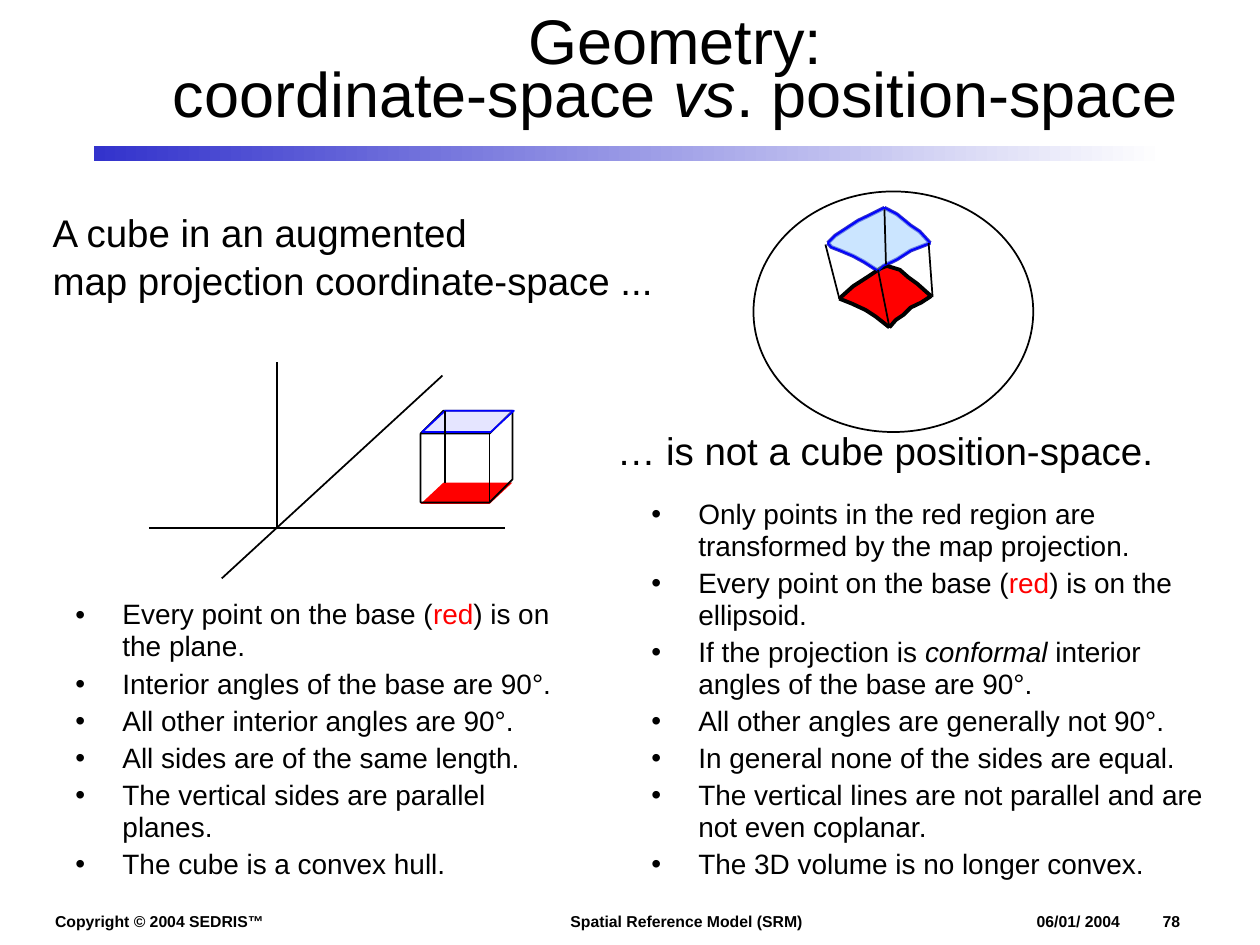
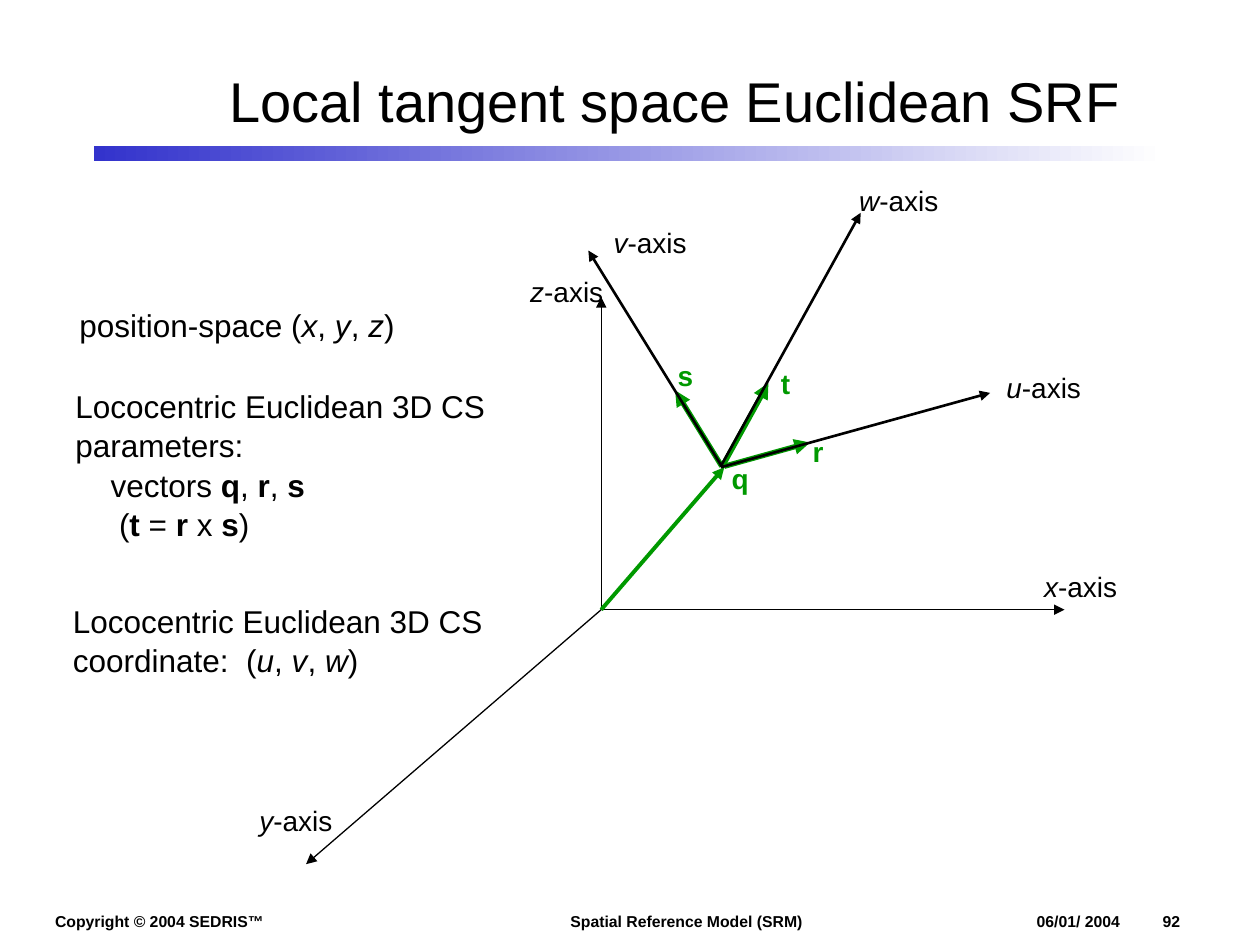
from copy import deepcopy

from lxml import etree
from pptx import Presentation
from pptx import util as u
from pptx.dml.color import RGBColor
from pptx.enum import shapes, text
from pptx.oxml.ns import qn

FONT = "Arial"
COLOURS = {
    "ink": "000000", "red": "FF0000", "green": "009900", "band": "3333CC",
    "paper": "FFFFFF", "edge": "0000FF", "lilac": "CCCCFF", "sky": "99CCFF",
}
RGB = {name: RGBColor.from_string(value) for name, value in COLOURS.items()}


def write_text(frame, lines, size, colour="ink", bold=False, gap=0):
    """Fill a frame; |i:x|, |b:x| and |red:x| mark italic, bold and red words."""
    frame.text = "\n".join("" for _ in lines)
    for number, (paragraph, line) in enumerate(zip(frame.paragraphs, lines)):
        pieces = line.split("|")
        paragraph.text = pieces[0]
        if number and gap:
            paragraph.space_before = u.Pt(gap)
        marks = [""] * len(paragraph.runs)
        for index, piece in enumerate(pieces[1:], 1):
            mark, word = piece.split(":", 1) if index % 2 else ("", piece)
            if word:
                paragraph.add_run().text = word
                marks.append(mark)
        for run, mark in zip(paragraph.runs, marks):
            run.font.name = FONT
            run.font.size = u.Pt(size)
            run.font.bold = bold or mark == "b"
            run.font.italic = mark == "i"
            run.font.color.rgb = RGB["red" if mark == "red" else colour]
        for line_break in paragraph._p.findall(qn("a:br")):
            line_break.append(deepcopy(paragraph.runs[0]._r.rPr))


def add_line(slide, start, end, width, colour="ink", arrow=False):
    ends = [u.Cm(value) for value in (*start, *end)]
    line = slide.shapes.add_connector(shapes.MSO_CONNECTOR.STRAIGHT, *ends)
    line.line.width = u.Pt(width)
    line.line.color.rgb = RGB[colour]
    if arrow:
        etree.SubElement(line.line._get_or_add_ln(), qn("a:tailEnd"), type="triangle")
    etree.SubElement(line._element.spPr, qn("a:effectLst"))


deck = Presentation()
deck.slide_width, deck.slide_height = u.Cm(25.4), u.Cm(19.05)

headings = [
    ("Geometry:\vcoordinate-space |i:vs|. position-space", 36, 0.13, 0.7, "78"),
    ("Local tangent space Euclidean SRF", 32, 0.64, 1.0, "92"),
]
for heading, size, top, spacing, page in headings:
    slide = deck.slides.add_slide(deck.slide_layouts[5])
    title = slide.shapes.title
    title.left, title.top, title.width, title.height = map(u.Cm, (3.07, top, 21.08, 2.77))
    title.text_frame.auto_size = text.MSO_AUTO_SIZE.NONE
    title.text_frame.vertical_anchor = text.MSO_ANCHOR.MIDDLE
    write_text(title.text_frame, [heading], size)
    title.text_frame.paragraphs[0].alignment = text.PP_ALIGN.CENTER
    title.text_frame.paragraphs[0].line_spacing = spacing

    band = slide.shapes.add_shape(
        shapes.MSO_SHAPE.RECTANGLE, u.Cm(1.9), u.Cm(2.95), u.Cm(21.59), u.Cm(0.3))
    band.shadow.inherit = False
    band.line.fill.background()
    band.fill.gradient()
    band.fill.gradient_angle = 0
    for stop, position, colour in zip(band.fill.gradient_stops, (0, 1), ("band", "paper")):
        stop.position = position
        stop.color.rgb = RGB[colour]

    for left, width, words in [
        (0.86, 4.72, "Copyright © 2004 SEDRIS™"),
        (11.25, 5.18, "Spatial Reference Model (SRM)"),
    ]:
        footer = slide.shapes.add_textbox(u.Cm(left), u.Cm(18.26), u.Cm(width), u.Cm(0.64))
        footer.text_frame.word_wrap = False
        write_text(footer.text_frame, [words], 9, bold=True)

    dated = slide.shapes.add_textbox(u.Cm(20.9), u.Cm(18.39), u.Cm(3.66), u.Cm(0.38)).text_frame
    dated.word_wrap = True
    dated.vertical_anchor = text.MSO_ANCHOR.BOTTOM
    dated.margin_left = dated.margin_right = dated.margin_top = dated.margin_bottom = 0
    tabs = etree.SubElement(dated.paragraphs[0]._p.get_or_add_pPr(), qn("a:tabLst"))
    etree.SubElement(tabs, qn("a:tab"), pos=str(u.Cm(2.54)), algn="l")
    write_text(dated, [f"06/01/ 2004\t{page}"], 9, bold=True)

geometry, tangent = deck.slides

for start, end in [
    ((4.47, 11.66), (8.92, 7.57)),
    ((3, 10.64), (10.19, 10.64)),
    ((5.59, 10.64), (5.59, 7.29)),
]:
    add_line(geometry, start, end, 1)

preset = shapes.MSO_SHAPE
for kind, box, adjustment, fill, outline in [
    (preset.PARALLELOGRAM, (8.48, 9.73, 1.85, 0.43), 1.07, "red", None),
    (preset.CUBE, (8.48, 8.28, 1.85, 1.85), 0.25, None, "ink"),
    (preset.PARALLELOGRAM, (8.51, 8.28, 1.85, 0.43), 1.08, "lilac", "edge"),
    (preset.OVAL, (15.19, 3.86, 5.64, 4.85), None, None, "ink"),
]:
    solid = geometry.shapes.add_shape(kind, *map(u.Cm, box))
    solid.shadow.inherit = False
    if adjustment:
        solid.adjustments[0] = adjustment
    if fill:
        solid.fill.solid()
        solid.fill.fore_color.rgb = RGB[fill]
    else:
        solid.fill.background()
    if outline:
        solid.line.color.rgb = RGB[outline]
        solid.line.width = u.Pt(1)
    else:
        solid.line.fill.background()
    if fill == "lilac":
        shade = solid._element.spPr.find(qn("a:solidFill"))[0]
        etree.SubElement(shade, qn("a:alpha"), val="50000")
add_line(geometry, (8.97, 8.28), (8.97, 9.73), 1)

base_face = [
    (1692, 602), (1720, 577), (1748, 559), (1775, 541), (1788, 536), (1814, 544),
    (1831, 559), (1849, 572), (1877, 597), (1857, 610), (1836, 620), (1821, 635),
    (1806, 645), (1793, 660), (1765, 638), (1745, 625), (1717, 612), (1692, 602),
]
top_face = [
    (1669, 490), (1684, 475), (1704, 462), (1730, 445), (1753, 434), (1783, 419),
    (1808, 432), (1836, 455), (1854, 467), (1875, 490), (1836, 505), (1808, 523),
    (1781, 536), (1770, 546), (1742, 528), (1720, 516), (1694, 505), (1676, 498),
    (1669, 490),
]
base_corners, top_corners = (0, 4, 8, 13, 17), (0, 5, 9, 13, 18)
outlines = [(base_face, "red", "ink", 1)]
for face, corners, colour in [(top_face, top_corners, "band"), (base_face, base_corners, "ink")]:
    for first, last in zip(corners, corners[1:]):
        outlines.append((face[first:last + 1], None, colour, 2.25))
outlines.append((top_face, "sky", "edge", 1))

for points, fill, colour, width in outlines:
    builder = geometry.shapes.build_freeform(*points[0], scale=u.Cm(0.01))
    builder.add_line_segments(points[1:], close=bool(fill))
    patch = builder.convert_to_shape()
    patch.shadow.inherit = False
    patch.line.color.rgb = RGB[colour]
    patch.line.width = u.Pt(width)
    if fill:
        patch.fill.solid()
        patch.fill.fore_color.rgb = RGB[fill]
    else:
        patch.fill.background()
    if fill == "sky":
        shade = patch._element.spPr.find(qn("a:solidFill"))[0]
        etree.SubElement(shade, qn("a:alpha"), val="50000")

for start, end in [
    ((16.92, 6.02), (16.64, 4.93)),
    ((17.93, 6.6), (17.7, 5.44)),
    ((18.72, 4.9), (18.8, 5.99)),
    ((17.86, 5.33), (17.83, 4.22)),
]:
    add_line(geometry, start, end, 1)

for box, facts in [
    ((12.88, 9.93, 11.76, 8.1), [
        "Only points in the red region are transformed by the map projection.",
        "Every point on the base (|red:red|) is on the ellipsoid.",
        "If the projection is |i:conformal| interior angles of the base are 90°.",
        "All other angles are generally not 90°.",
        "In general none of the sides are equal.",
        "The vertical lines are not parallel and are not even coplanar.",
        "The 3D volume is no longer convex.",
    ]),
    ((1.27, 11.96, 10.59, 5.97), [
        "Every point on the base (|red:red|) is on the plane.",
        "Interior angles of the base are 90°.",
        "All other interior angles are 90°.",
        "All sides are of the same length.",
        "The vertical sides are parallel planes.",
        "The cube is a convex hull.",
    ]),
]:
    properties = geometry.shapes.add_textbox(*map(u.Cm, box)).text_frame
    properties.word_wrap = True
    write_text(properties, facts, 16, gap=3)
    for fact in properties.paragraphs:
        fact.line_spacing = 0.95
        layout = fact._p.get_or_add_pPr()
        layout.set("marL", str(u.Cm(0.95)))
        layout.set("indent", str(u.Cm(-0.95)))
        etree.SubElement(layout, qn("a:buFont"), typeface=FONT)
        etree.SubElement(layout, qn("a:buChar"), char="•")

origin = (12.12, 12.29)
for start, end, width, colour in [
    (origin, (21.46, 12.29), 0.75, "ink"),
    (origin, (12.12, 5.99), 0.75, "ink"),
    (origin, (6.17, 17.42), 0.75, "ink"),
    (origin, (14.6, 9.42), 2.25, "green"),
    ((14.6, 9.4), (16.33, 8.92), 3, "green"),
    ((14.55, 9.4), (13.61, 7.87), 3, "green"),
    ((14.58, 9.37), (15.49, 7.72), 3, "green"),
    ((14.53, 9.42), (19.96, 7.92), 1.5, "ink"),
    ((14.55, 9.4), (11.86, 5.05), 1.5, "ink"),
    ((14.53, 9.4), (17.35, 4.29), 1.5, "ink"),
]:
    add_line(tangent, start, end, width, colour, arrow=True)

captions = [
    (geometry, (0.81, 4.09, 12.65, 2.11), 22, "ink",
     ["A cube in an augmented", "map projection coordinate-space ..."]),
    (geometry, (12.19, 8.48, 11.35, 1.19), 22, "ink", ["… is not a cube position-space."]),
    (tangent, (1.35, 6.05, 6.86, 1.02), 18, "ink", ["position-space (|i:x|, |i:y|, |i:z|)"]),
    (tangent, (1.27, 7.67, 8.76, 3.3), 18, "ink",
     ["Lococentric Euclidean 3D CS", "parameters:",
      "vectors |b:q|, |b:r|, |b:s|", "(|b:t |= |b:r| x |b:s|)"]),
    (tangent, (1.22, 12.01, 8.76, 1.78), 18, "ink",
     ["Lococentric Euclidean 3D CS", "coordinate:  (|i:u|, |i:v|, |i:w|)"]),
]
for axis, left, top, width in [
    ("x", 20.8, 11.35, 1.98), ("y", 4.98, 16.08, 1.98), ("z", 10.44, 5.41, 1.98),
    ("u", 20.04, 7.34, 2.01), ("v", 12.12, 4.42, 1.98), ("w", 17.07, 3.58, 2.11),
]:
    captions.append((tangent, (left, top, width, 0.94), 16, "ink", [f"|i:{axis}|-axis"]))
for vector, left, top, width in [
    ("t", 15.49, 7.26, 0.71), ("q", 14.5, 9.17, 0.86),
    ("r", 16.13, 8.64, 0.74), ("s", 13.41, 7.11, 0.81),
]:
    captions.append((tangent, (left, top, width, 0.94), 16, "green", [f"|b:{vector}|"]))

for slide, box, size, colour, lines in captions:
    caption = slide.shapes.add_textbox(*map(u.Cm, box)).text_frame
    caption.word_wrap = False
    write_text(caption, lines, size, colour, gap=1)
    for line, indent in zip(caption.paragraphs[2:], (0.71, 0.88)):
        line._p.get_or_add_pPr().set("marL", str(u.Cm(indent)))

deck.save("out.pptx")
